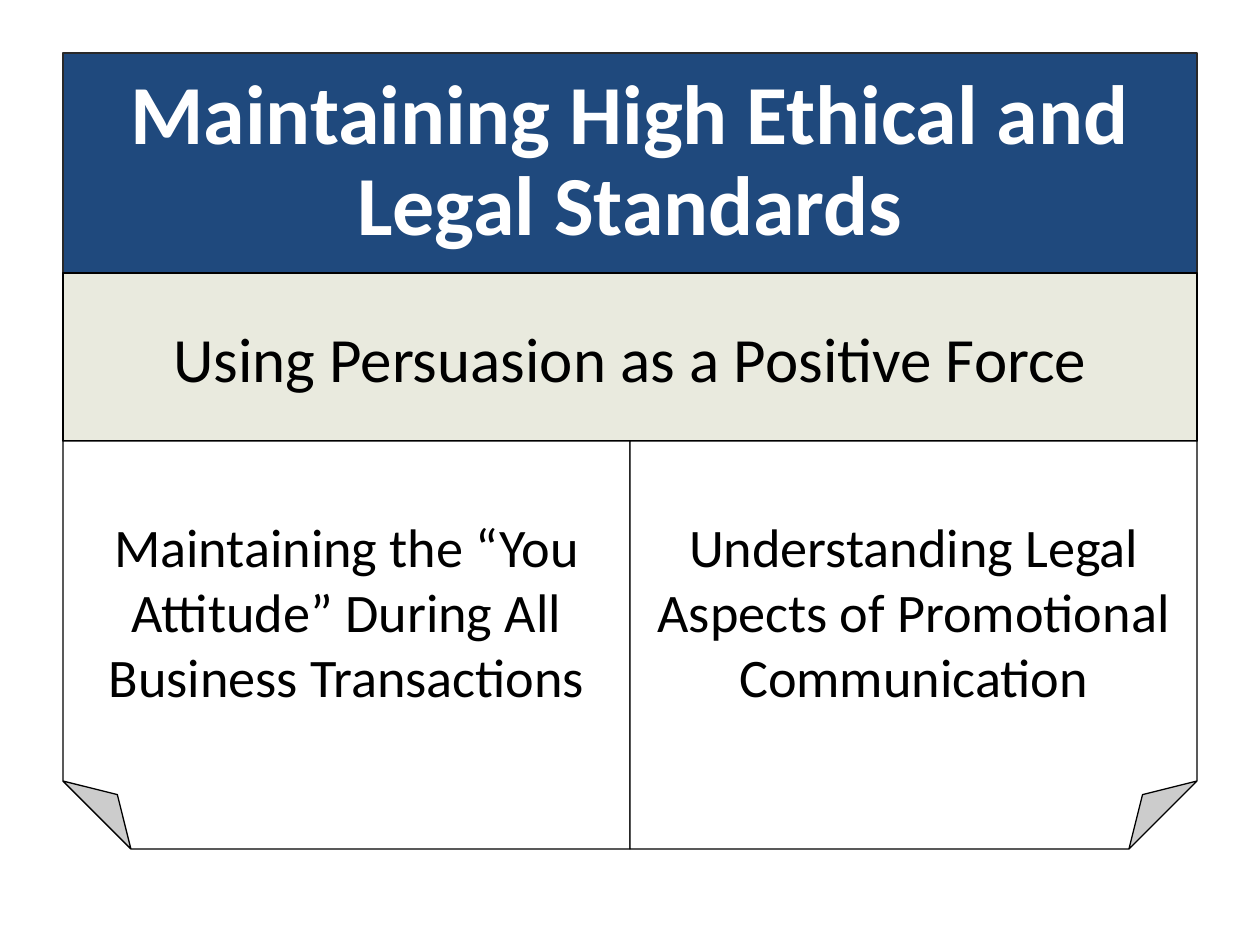
from pptx import Presentation
from pptx.dml.color import RGBColor
from pptx.enum.shapes import MSO_SHAPE as SHAPE
from pptx.enum.text import MSO_ANCHOR as ANCHOR, PP_ALIGN as ALIGN
from pptx.util import Emu, Pt

SCALE = 914400 / 126


def px(n):
    return Emu(round(n * SCALE))


def rgb(value):
    return RGBColor.from_string(value)


class Deck:
    """Holds the style and the current slide, and draws its panels."""

    font = "Calibri"
    black, white = "000000", "FFFFFF"
    navy, cream, edge = "1F497D", "E9EADE", "292929"

    def __init__(self, width, height):
        self.prs = Presentation()
        self.prs.slide_width, self.prs.slide_height = px(width), px(height)
        self.s = self.prs.slides.add_slide(self.prs.slide_layouts[6])

    def panel(self, kind, box, text, size, fill, line=black, color=black,
              bold=False, spacing=None, flip=False):
        sp = self.s.shapes.add_shape(kind, *map(px, box))
        sp.shadow.inherit = False
        sp.fill.solid()
        sp.fill.fore_color.rgb = rgb(fill)
        sp.line.color.rgb = rgb(line)
        sp.line.width = Pt(0.75)
        if flip:
            sp._element.spPr.get_or_add_xfrm().set("flipH", "1")
        tf = sp.text_frame
        tf.word_wrap = True
        tf.vertical_anchor = ANCHOR.MIDDLE
        p = tf.paragraphs[0]
        p.alignment = ALIGN.CENTER
        p.line_spacing = spacing
        r = p.add_run()
        r.text = text
        r.font.color.rgb = rgb(color)
        style = {"name": self.font, "size": Pt(size), "bold": bold}
        for name, value in style.items():
            setattr(r.font, name, value)

    def title(self, box, text):
        self.panel(SHAPE.RECTANGLE, box, text, 48, self.navy, self.edge,
                   self.white, bold=True, spacing=0.9)

    def band(self, box, text):
        self.panel(SHAPE.RECTANGLE, box, text, 36, self.cream)

    def page(self, box, text, flip):
        self.panel(SHAPE.FOLDED_CORNER, box, text, 31, self.white, flip=flip)


def main():
    left, width = 63, 1134
    title_top, band_top, page_top, bottom = 53, 273, 441, 849
    pages = [
        "Maintaining the “You Attitude” During All Business Transactions",
        "Understanding Legal Aspects of Promotional Communication",
    ]
    deck = Deck(1260, 945)
    deck.title((left, title_top, width, band_top - title_top),
               "Maintaining High Ethical and Legal Standards")
    deck.band((left, band_top, width, page_top - band_top),
              "Using Persuasion as a Positive Force")
    page_width = width // len(pages)
    for i, text in enumerate(pages):
        box = (left + i * page_width, page_top, page_width, bottom - page_top)
        deck.page(box, text, flip=i == 0)
    deck.prs.save("out.pptx")


if __name__ == "__main__":
    main()
